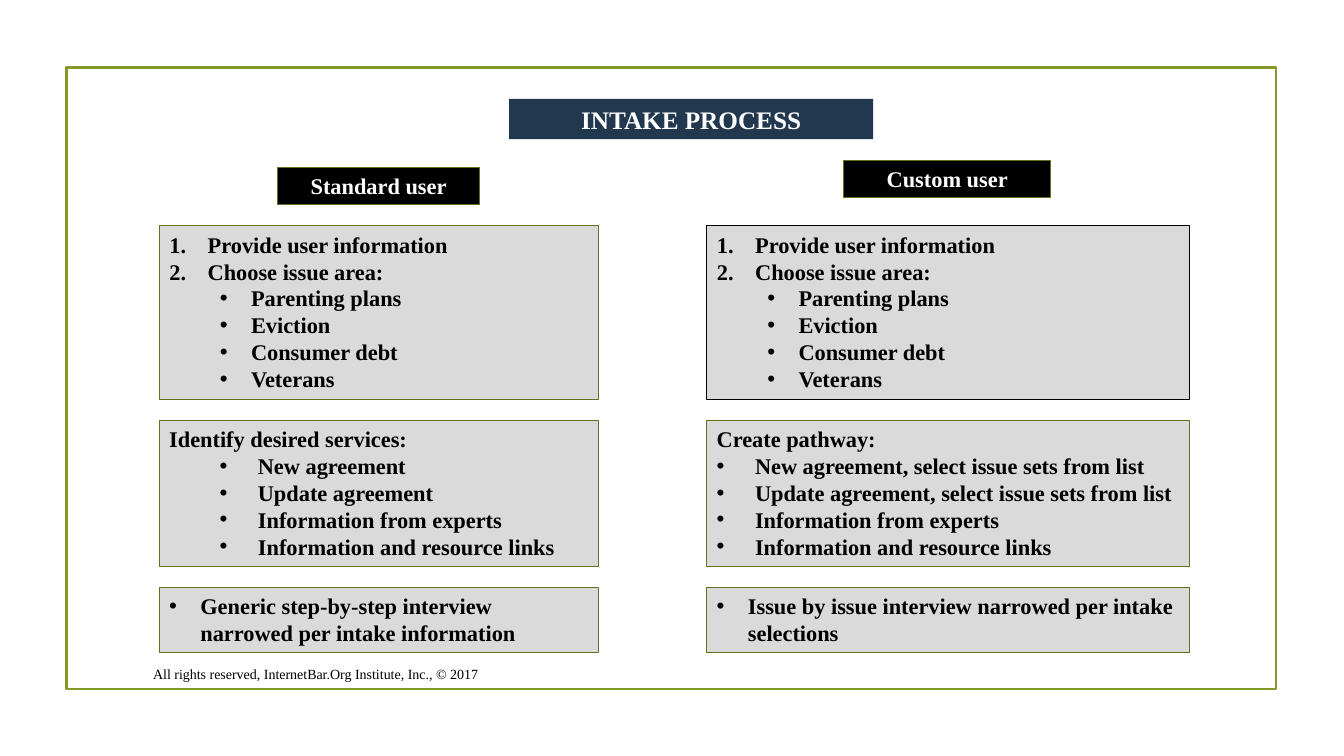
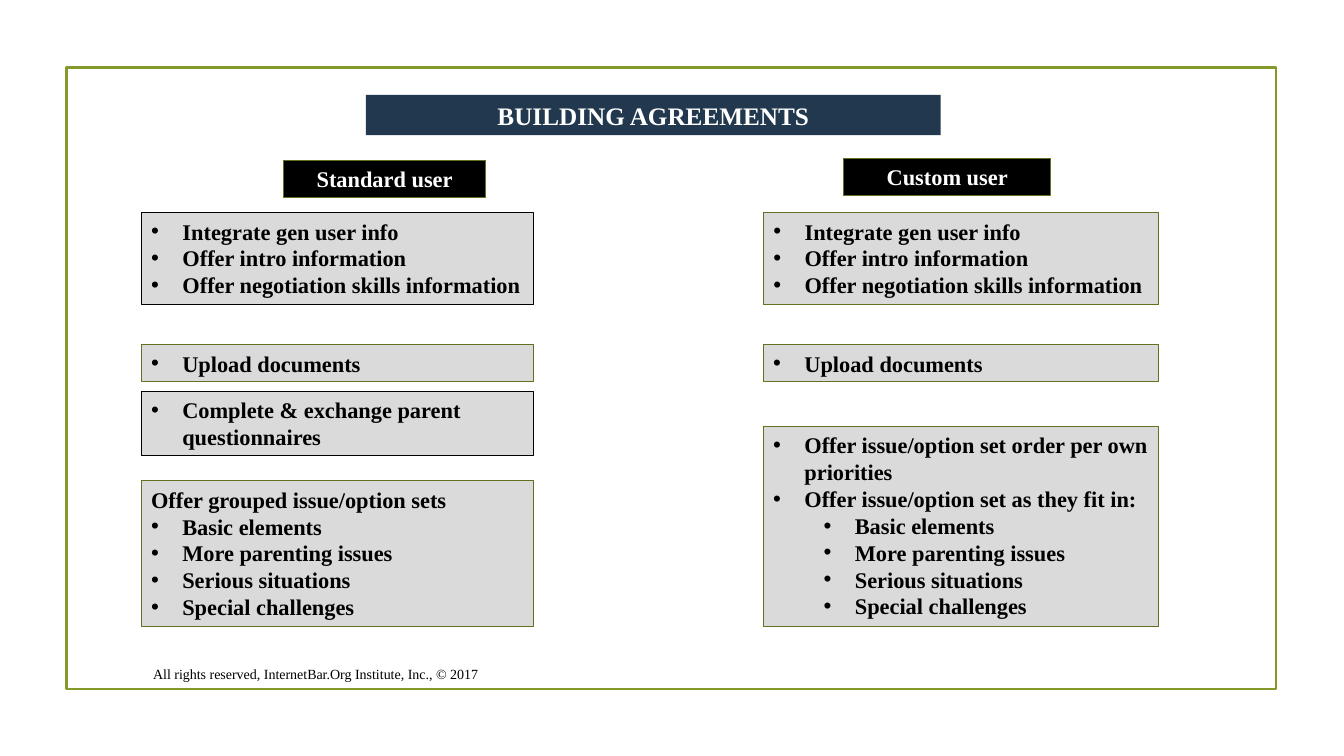
from dataclasses import dataclass

from lxml import etree
from pptx import Presentation
from pptx.dml.color import RGBColor
from pptx.enum.shapes import MSO_SHAPE as Preset
from pptx.enum.text import MSO_ANCHOR as Anchor, MSO_AUTO_SIZE as AutoSize, PP_ALIGN as Align
from pptx.oxml.ns import qn
from pptx.util import Inches, Pt

# Shared look
OLIVE = RGBColor(0x83, 0x99, 0x2A)
DARK_OLIVE = RGBColor(0x61, 0x71, 0x1F)
NAVY = RGBColor(0x22, 0x38, 0x4E)
GREY = RGBColor(0xDA, 0xDA, 0xDA)
BLACK = RGBColor(0, 0, 0)
WHITE = RGBColor(255, 255, 255)
FONT = "Times New Roman"
FOOTER = "All rights reserved, InternetBar.Org Institute, Inc., © 2017"
COMPARISON_LAYOUT = 4

# Panel height follows from its number of text lines
LINE_HEIGHT = 0.27
PADDING = 0.1
LABEL_HEIGHT = 0.37
TITLE_HEIGHT = 0.4


@dataclass
class Box:
    left: float
    top: float
    width: float
    height: float


@dataclass
class ListStyle:
    level: int = 0
    left: float = 0
    hanging: float = 0
    marker: str = ""


PLAIN = ListStyle()
NUMBER = ListStyle(0, 0.38, 0.38, "1.")
BULLET = ListStyle(0, 0.31, 0.31, "•")
WIDE_BULLET = ListStyle(0, 0.38, 0.38, "•")
SUB_BULLET = ListStyle(1, 0.81, 0.31, "•")
WIDE_SUB_BULLET = ListStyle(1, 0.88, 0.38, "•")


@dataclass
class Panel:
    gap: float      # space above the panel
    lines: int      # text lines after wrapping
    items: list     # pairs of list style and texts
    border: RGBColor = DARK_OLIVE


@dataclass
class Column:
    left: float
    top: float
    width: float
    label: str
    label_box: Box  # relative to the column's corner
    panels: list


def place(shape, box):
    shape.left, shape.top = Inches(box.left), Inches(box.top)
    shape.width, shape.height = Inches(box.width), Inches(box.height)


def paint(shape, fill, border, weight=0.75):
    if fill is None:
        shape.fill.background()
    else:
        shape.fill.solid()
        shape.fill.fore_color.rgb = fill
    if border is None:
        shape.line.fill.background()
    else:
        shape.line.color.rgb = border
        shape.line.width = Pt(weight)


def add_rectangle(slide, box):
    shape = slide.shapes.add_shape(
        Preset.RECTANGLE, Inches(box.left), Inches(box.top), Inches(box.width), Inches(box.height))
    shape.shadow.inherit = False
    return shape


def set_marker(paragraph, style):
    properties = paragraph._p.get_or_add_pPr()
    properties.set("marL", str(Inches(style.left)))
    properties.set("indent", str(-Inches(style.hanging)))
    if style.marker == "1.":
        etree.SubElement(properties, qn("a:buAutoNum"), type="arabicPeriod")
    elif style.marker:
        etree.SubElement(properties, qn("a:buFont"), typeface="Arial")
        etree.SubElement(properties, qn("a:buChar"), char=style.marker)
    else:
        etree.SubElement(properties, qn("a:buNone"))


def write(shape, items, size, color, bold=True, align=Align.LEFT, anchor=Anchor.TOP):
    frame = shape.text_frame
    frame.word_wrap = True
    frame.auto_size = AutoSize.NONE
    frame.vertical_anchor = anchor
    entries = [(style, text) for style, texts in items for text in texts]
    for index, (style, text) in enumerate(entries):
        paragraph = frame.add_paragraph() if index else frame.paragraphs[0]
        set_marker(paragraph, style)
        paragraph.level = style.level
        paragraph.alignment = align
        paragraph.space_before = Pt(0)
        run = paragraph.add_run()
        run.text = text
        run.font.name = FONT
        run.font.size = Pt(size)
        run.font.bold = bold
        run.font.color.rgb = color


# Frame and footer common to all slides
def add_frame(slide):
    frame = Box(0.66, 0.67, 12, 6.17)
    paint(add_rectangle(slide, frame), None, OLIVE, 1.5)
    footer = slide.shapes.add_textbox(0, 0, 0, 0)
    place(footer, Box(frame.left + 0.76, frame.top + frame.height - 0.31, 7.99, 0.31))
    write(footer, [(PLAIN, [FOOTER])], 10, BLACK, bold=False, anchor=Anchor.MIDDLE)


def add_title(slide, text, box):
    title = slide.shapes.title
    place(title, box)
    paint(title, NAVY, None)
    write(title, [(PLAIN, [text])], 18, WHITE, align=Align.CENTER)


# One user's column: black label, then a stack of grey panels
def add_column(slide, column, label, first_panel):
    offset = column.label_box
    place(label, Box(column.left + offset.left, column.top + offset.top,
                     offset.width, offset.height))
    paint(label, BLACK, DARK_OLIVE)
    write(label, [(PLAIN, [column.label])], 16, WHITE, align=Align.CENTER)

    top = column.top
    for index, panel in enumerate(column.panels):
        top += panel.gap
        box = Box(column.left, top, column.width, PADDING + panel.lines * LINE_HEIGHT)
        shape = add_rectangle(slide, box) if index else first_panel
        place(shape, box)
        paint(shape, GREY, panel.border)
        write(shape, panel.items, 16, BLACK)
        top += box.height


def add_comparison(presentation, title, title_box, columns):
    slide = presentation.slides.add_slide(presentation.slide_layouts[COMPARISON_LAYOUT])
    add_frame(slide)
    add_title(slide, title, title_box)
    bodies = [shape for shape in slide.placeholders if shape.placeholder_format.idx > 0]
    for index, column in enumerate(columns):
        add_column(slide, column, *bodies[2 * index:2 * index + 2])


def standard_label(left, top):
    return "Standard user", Box(left, top, 2.01, LABEL_HEIGHT)


def custom_label(left, top):
    return "Custom user", Box(left, top, 2.05, LABEL_HEIGHT)


def add_intake_slide(presentation):
    gap = 0.21
    issues = [
        (NUMBER, ["Provide user information", "Choose issue area:"]),
        (SUB_BULLET, ["Parenting plans", "Eviction", "Consumer debt", "Veterans"]),
    ]
    information = ["Information from experts", "Information and resource links"]
    standard = Column(1.58, 2.24, 4.36, *standard_label(1.17, -0.58), [
        Panel(0, 6, issues),
        Panel(gap, 5, [
            (PLAIN, ["Identify desired services:"]),
            (WIDE_SUB_BULLET, ["New agreement", "Update agreement", *information]),
        ]),
        Panel(gap, 2, [
            (BULLET, ["Generic step-by-step interview narrowed per intake information"])]),
    ])
    custom = Column(7.01, 2.24, 4.79, *custom_label(1.36, -0.65), [
        Panel(0, 6, issues, BLACK),
        Panel(gap, 5, [
            (PLAIN, ["Create pathway:"]),
            (WIDE_BULLET, ["New agreement, select issue sets from list",
                           "Update agreement, select issue sets from list", *information]),
        ]),
        Panel(gap, 2, [(BULLET, ["Issue by issue interview narrowed per intake selections"])]),
    ])
    add_comparison(presentation, "INTAKE PROCESS", Box(5.05, 0.98, 3.61, TITLE_HEIGHT),
                   [standard, custom])


def add_agreements_slide(presentation):
    introduction = [(BULLET, ["Integrate gen user info", "Offer intro information",
                              "Offer negotiation skills information"])]
    upload = Panel(0.4, 1, [(BULLET, ["Upload documents"])])
    option_sets = ["Basic elements", "More parenting issues", "Serious situations",
                   "Special challenges"]
    standard = Column(1.4, 2.11, 3.89, *standard_label(1.41, -0.52), [
        Panel(0, 3, introduction, BLACK),
        upload,
        Panel(0.09, 2, [(BULLET, ["Complete & exchange parent questionnaires"])], BLACK),
        Panel(0.25, 5, [(PLAIN, ["Offer grouped issue/option sets"]), (BULLET, option_sets)]),
    ])
    custom = Column(7.57, 2.11, 3.92, *custom_label(0.8, -0.54), [
        Panel(0, 3, introduction),
        upload,
        Panel(0.44, 7, [
            (BULLET, ["Offer issue/option set order per own priorities",
                      "Offer issue/option set as they fit in:"]),
            (SUB_BULLET, option_sets),
        ]),
    ])
    add_comparison(presentation, "BUILDING AGREEMENTS", Box(3.63, 0.94, 5.7, TITLE_HEIGHT),
                   [standard, custom])


def main():
    presentation = Presentation()
    presentation.slide_width, presentation.slide_height = Inches(13.33), Inches(7.5)
    add_intake_slide(presentation)
    add_agreements_slide(presentation)
    presentation.save("out.pptx")


if __name__ == "__main__":
    main()
